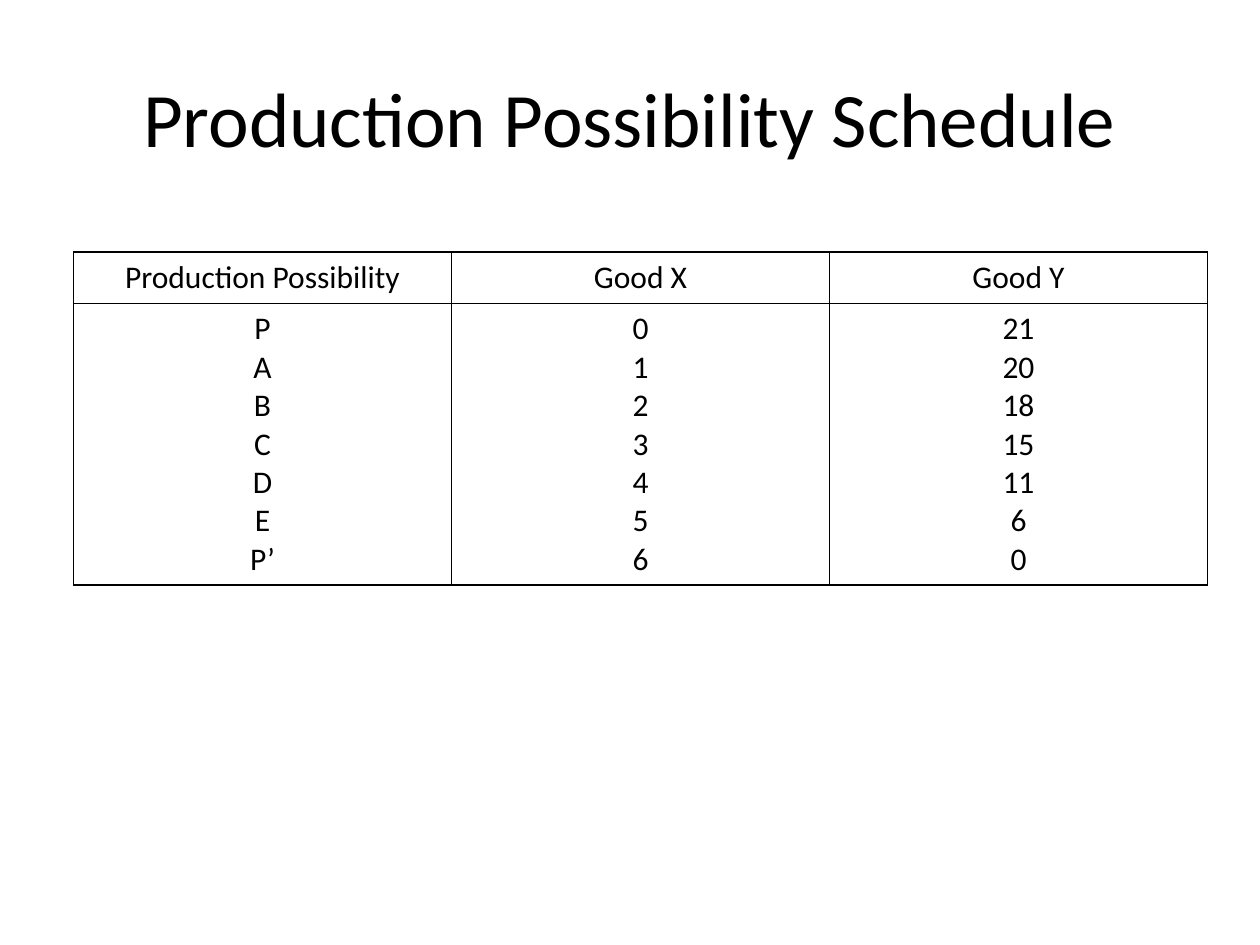
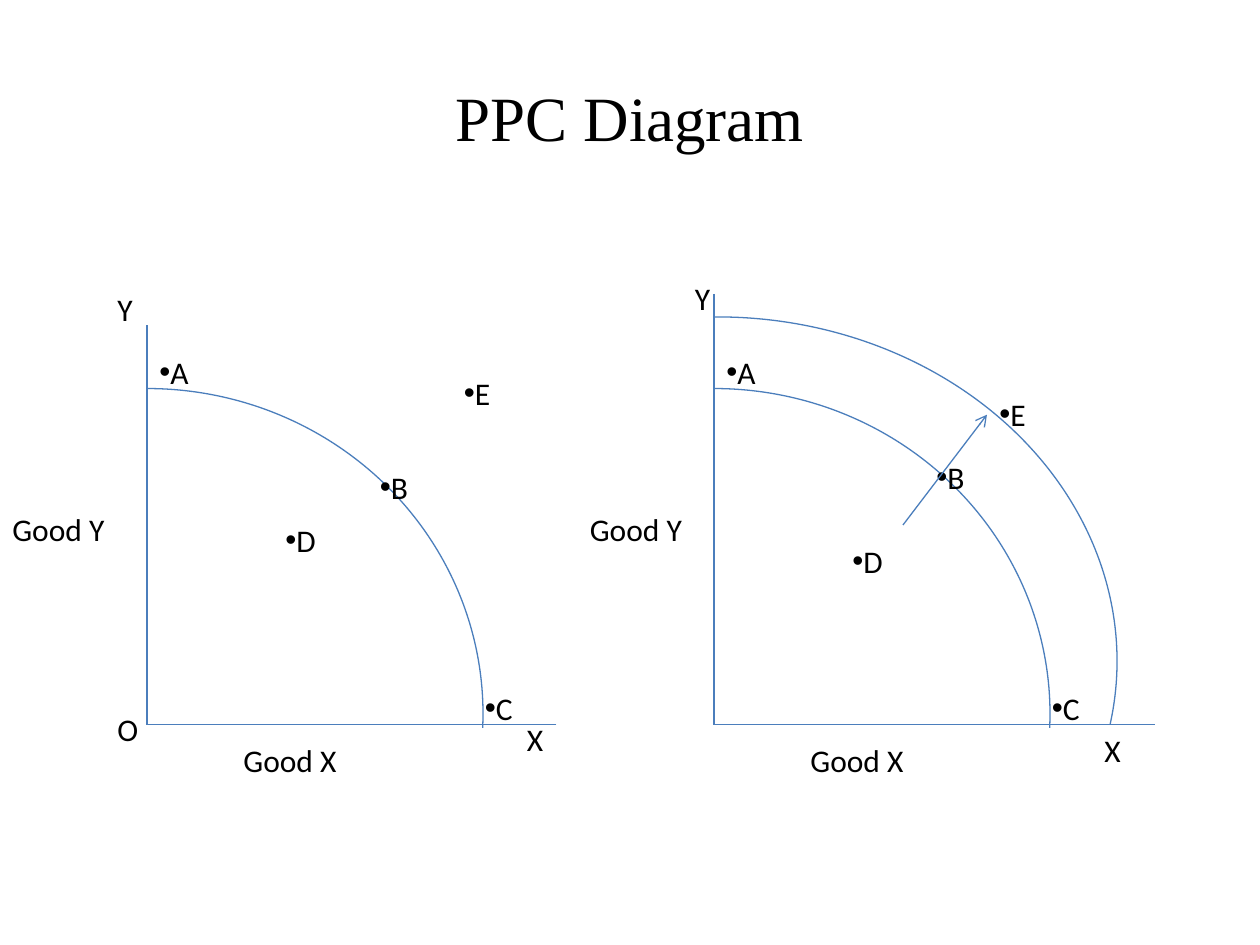
from lxml import etree
from pptx import Presentation
from pptx.dml.color import RGBColor
from pptx.enum.shapes import MSO_CONNECTOR as Connector, MSO_SHAPE as Shape
from pptx.enum.text import MSO_ANCHOR as Anchor, MSO_AUTO_SIZE as AutoSize, PP_ALIGN as Align
from pptx.oxml import parse_xml
from pptx.oxml.ns import nsdecls, qn
from pptx.util import Pt

# Shared look: 120 px to the inch
PX = 7620
BLACK, BLUE = "000000", "4B7EBC"
TITLE_BOX = (60, 36, 1080, 150)
TITLE_ONLY = 5
BODY_FONT = {"name": "Calibri", "size": Pt(18)}

# Content: schedule
SCHEDULE_TITLE = "Production Possibility Schedule"
SCHEDULE = {
    "Production Possibility": ["P", "A", "B", "C", "D", "E", "P’"],
    "Good X": [0, 1, 2, 3, 4, 5, 6],
    "Good Y": [21, 20, 18, 15, 11, 6, 0],
}
TABLE_LEFT, TABLE_TOP, COLUMN_WIDTH = 70, 240, 360
ROW_HEIGHTS = (49, 268)

# Content: diagrams, with labels as (text, left, top, width)
DIAGRAM_TITLE = "PPC Diagram"
LABEL_HEIGHT = 49
CURVE_SIZE, CURVE_ANGLES = (640, 620), (162, 1.43)
DIAGRAMS = [
    {
        "origin": (140, 690), "axis_top": 310, "axis_right": 530,
        "labels": [("X", 490, 680, 70), ("O", 100, 670, 40), ("Y", 100, 270, 50),
                   ("Good X", 220, 700, 200), ("Good Y", 0, 480, 120)],
        "points": [("A", 140, 330, 40), ("B", 350, 440, 50), ("C", 450, 650, 50),
                   ("D", 260, 490, 60), ("E", 430, 350, 50)],
    },
    {
        "origin": (680, 690), "axis_top": 280, "axis_right": 1100,
        "labels": [("X", 1040, 690, 70), ("Y", 650, 260, 50),
                   ("Good X", 760, 700, 200), ("Good Y", 550, 480, 120)],
        "points": [("A", 680, 330, 40), ("B", 880, 430, 50), ("C", 990, 650, 50),
                   ("D", 800, 510, 60), ("E", 940, 370, 50)],
    },
]
OUTER_CURVE = {"box": (314, 302, 750, 646), "angles": (159.4, 4.34), "rotation": 2.7}
GROWTH_ARROW = ((860, 500), (940, 395))


def px(*lengths):
    return [length * PX for length in lengths]


def color(hex_code):
    return RGBColor.from_string(hex_code)


def set_values(target, values):
    for name, value in values.items():
        setattr(target, name, value)


def format_text(frame, font_values, align=Align.LEFT):
    for paragraph in frame.paragraphs:
        paragraph.alignment = align
        set_values(paragraph.font, font_values)
        paragraph.font.color.rgb = color(BLACK)


def add_titled_slide(presentation, text, font_values):
    slide = presentation.slides.add_slide(presentation.slide_layouts[TITLE_ONLY])
    title = slide.shapes.title
    set_values(title, dict(zip(("left", "top", "width", "height"), px(*TITLE_BOX))))
    title.text_frame.text = text
    title.text_frame.vertical_anchor = Anchor.MIDDLE
    format_text(title.text_frame, font_values, Align.CENTER)
    return slide


# Table
def add_borders(cell):
    properties = cell._tc.get_or_add_tcPr()
    for side in "LRTB":
        properties.append(parse_xml(
            f'<a:ln{side} {nsdecls("a")} w="{Pt(1)}"><a:solidFill>'
            f'<a:srgbClr val="{BLACK}"/></a:solidFill></a:ln{side}>'))


def add_schedule(slide):
    frame = slide.shapes.add_table(2, len(SCHEDULE), *px(
        TABLE_LEFT, TABLE_TOP, COLUMN_WIDTH * len(SCHEDULE), sum(ROW_HEIGHTS)))
    table = frame.table
    set_values(table, {"first_row": False, "horz_banding": False})
    for row, height in zip(table.rows, ROW_HEIGHTS):
        row.height = height * PX
    for column, (heading, values) in enumerate(SCHEDULE.items()):
        table.columns[column].width = COLUMN_WIDTH * PX
        for row, text in enumerate((heading, "\n".join(map(str, values)))):
            cell = table.cell(row, column)
            cell.text_frame.text = text
            format_text(cell.text_frame, BODY_FONT, Align.CENTER)
            add_borders(cell)
            cell.fill.background()


# Diagram parts
def format_line(line):
    line.color.rgb = color(BLUE)
    line.width = Pt(0.75)


def add_line(slide, start, end, arrow=False):
    connector = slide.shapes.add_connector(Connector.STRAIGHT, *px(*start, *end))
    format_line(connector.line)
    if arrow:
        etree.SubElement(connector.line._get_or_add_ln(), qn("a:tailEnd"), type="arrow")
    etree.SubElement(connector._element.spPr, qn("a:effectLst"))


def add_curve(slide, box, angles, rotation=0):
    curve = slide.shapes.add_shape(Shape.ARC, *px(*box))
    curve.shadow.inherit = False
    curve.fill.background()
    format_line(curve.line)
    curve.rotation = rotation
    for index, angle in enumerate(angles):
        curve.adjustments[index] = angle


def add_label(slide, text, left, top, width, bullet=False):
    frame = slide.shapes.add_textbox(*px(left, top, width, LABEL_HEIGHT)).text_frame
    set_values(frame, {"text": text, "word_wrap": True,
                       "auto_size": AutoSize.SHAPE_TO_FIT_TEXT})
    if bullet:
        properties = frame.paragraphs[0]._p.get_or_add_pPr()
        etree.SubElement(properties, qn("a:buFont"), typeface="Arial")
        etree.SubElement(properties, qn("a:buChar"), char="•")
    format_text(frame, BODY_FONT)


def add_diagram(slide, diagram):
    origin_x, origin_y = diagram["origin"]
    add_line(slide, (origin_x, diagram["axis_top"]), diagram["origin"])
    add_line(slide, (diagram["axis_right"], origin_y), diagram["origin"])
    # The curve starts on the vertical axis, so its oval is centred there
    width, height = CURVE_SIZE
    add_curve(slide, (origin_x - width // 2, 370, width, height), CURVE_ANGLES)
    for label in diagram["labels"]:
        add_label(slide, *label)
    for point in diagram["points"]:
        add_label(slide, *point, bullet=True)


def main():
    presentation = Presentation()
    presentation.slide_width, presentation.slide_height = px(1200, 900)

    schedule_slide = add_titled_slide(
        presentation, SCHEDULE_TITLE, {"name": "Calibri", "size": Pt(44)})
    add_schedule(schedule_slide)

    diagram_slide = add_titled_slide(
        presentation, DIAGRAM_TITLE, {"name": "Times New Roman", "size": Pt(36)})
    for diagram in DIAGRAMS:
        add_diagram(diagram_slide, diagram)
    add_curve(diagram_slide, **OUTER_CURVE)
    add_line(diagram_slide, *GROWTH_ARROW, arrow=True)

    presentation.save("out.pptx")


if __name__ == "__main__":
    main()
